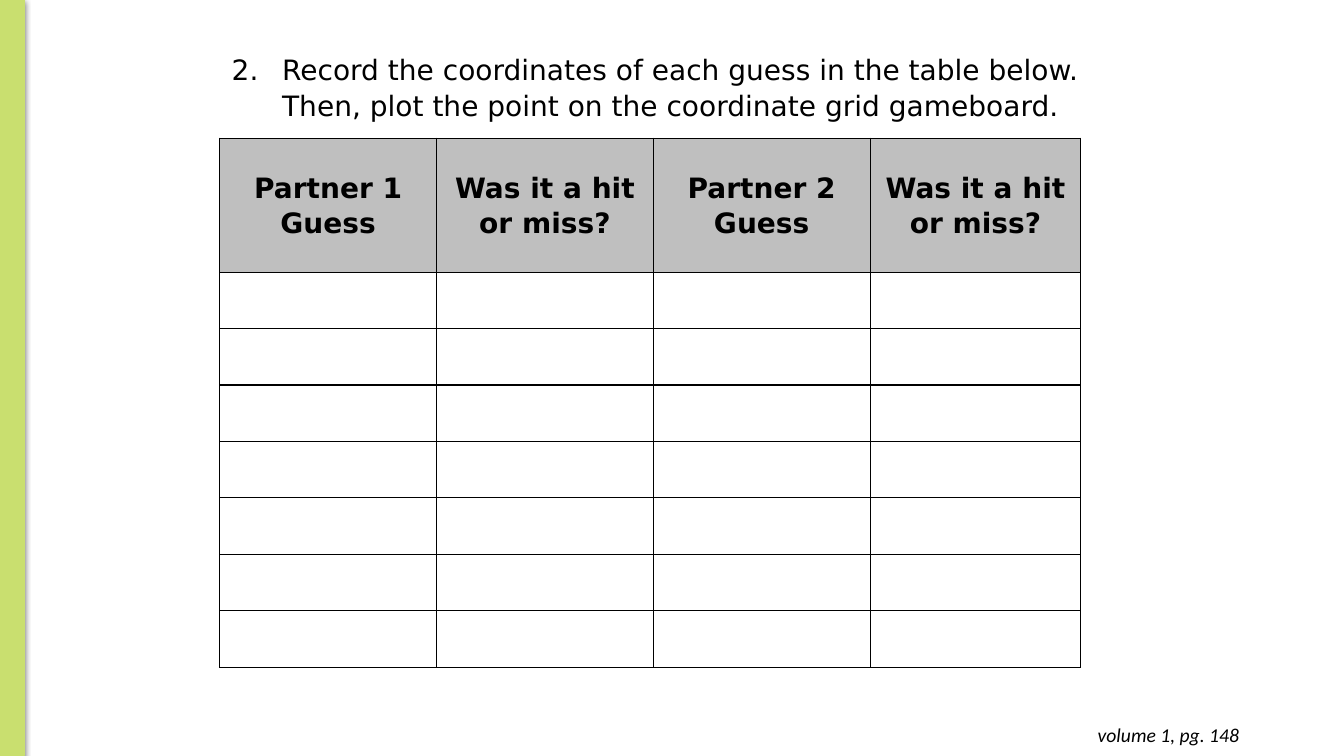
from lxml.etree import SubElement
from pptx import Presentation
from pptx.dml.color import RGBColor
from pptx.enum.shapes import MSO_SHAPE as Shape
from pptx.enum.text import MSO_ANCHOR as Anchor, PP_ALIGN as Align
from pptx.oxml import parse_xml
from pptx.oxml.ns import nsdecls, qn
from pptx.util import Inches, Pt

BLACK = RGBColor(0x00, 0x00, 0x00)
LIME = RGBColor(0xC9, 0xDF, 0x6F)
GRAY = RGBColor(0xBF, 0xBF, 0xBF)
BODY_FONT, NOTE_FONT = "DejaVu Sans", "Calibri"
WIDTH, HEIGHT = 13.33, 7.5

HEADERS = ["Partner 1 Guess", "Was it a hit or miss?"] + [
    "Partner 2 Guess", "Was it a hit or miss?"]
COLUMNS = [2.15] * 3 + [2.09]
ROWS = [1.33] + [0.56] * 7


def add_span(para, text, font, size, bold=False, italic=False):
    span = para.add_run()
    span.text = text
    span.font.name, span.font.size = font, Pt(size)
    span.font.bold, span.font.italic = bold, italic
    span.font.color.rgb = BLACK


def add_text_box(page, box):
    frame = page.shapes.add_textbox(*map(Inches, box)).text_frame
    frame.word_wrap = True
    return frame


# Coloured band along the left edge, with a soft shadow
def add_side_band(page, box):
    band = page.shapes.add_shape(Shape.RECTANGLE, *map(Inches, box))
    band.shadow.inherit = False
    band.fill.solid()
    band.fill.fore_color.rgb = LIME
    band.line.color.rgb = LIME
    band.line.width = Pt(0.75)
    effects = band._element.spPr.find(qn("a:effectLst"))
    effects.append(parse_xml(
        f'<a:outerShdw {nsdecls("a")} blurRad="{Pt(4.5)}" dist="{Pt(1.5)}" '
        'dir="5400000" algn="ctr" rotWithShape="0"><a:srgbClr val="000000">'
        '<a:alpha val="50000"/></a:srgbClr></a:outerShdw>'))


# Numbered instruction
def add_instruction(page, box, text, number):
    para = add_text_box(page, box).paragraphs[0]
    para.line_spacing = 1.07
    props = para._p.get_or_add_pPr()
    props.set("marL", str(Inches(0.5)))
    props.set("indent", str(-Inches(0.5)))
    color = SubElement(props, qn("a:buClr"))
    SubElement(color, qn("a:srgbClr"), val=str(BLACK))
    SubElement(props, qn("a:buFont"), typeface=BODY_FONT)
    SubElement(props, qn("a:buAutoNum"), type="arabicPeriod", startAt=str(number))
    add_span(para, text, BODY_FONT, 20)


def add_borders(cell):
    props = cell._tc.get_or_add_tcPr()
    for place, side in enumerate(("lnL", "lnR", "lnT", "lnB")):
        props.insert(place, parse_xml(
            f'<a:{side} {nsdecls("a")} w="{Pt(1)}"><a:solidFill>'
            f'<a:srgbClr val="{BLACK}"/></a:solidFill></a:{side}>'))


def fill_header(cell, text):
    cell.fill.solid()
    cell.fill.fore_color.rgb = GRAY
    cell.vertical_anchor = Anchor.MIDDLE
    cell.margin_left = cell.margin_right = Inches(0.05)
    cell.margin_top = cell.margin_bottom = 0
    para = cell.text_frame.paragraphs[0]
    para.alignment = Align.CENTER
    para.line_spacing = 1.07
    add_span(para, text, BODY_FONT, 20, bold=True)


# Table for recording guesses
def add_guess_table(page, left, top):
    size = map(Inches, (left, top, sum(COLUMNS), sum(ROWS)))
    table = page.shapes.add_table(len(ROWS), len(COLUMNS), *size).table
    table.first_row = table.horz_banding = False
    for column, width in zip(table.columns, COLUMNS):
        column.width = Inches(width)
    for row, height in zip(table.rows, ROWS):
        row.height = Inches(height)
    for cell in table.iter_cells():
        cell.fill.background()
    for cell, text in zip(table.rows[0].cells, HEADERS):
        fill_header(cell, text)
    for cell in table.iter_cells():
        add_borders(cell)


# Page reference at the bottom right
def add_reference(page, box, text):
    frame = add_text_box(page, box)
    frame.margin_top = frame.margin_bottom = Inches(0.1)
    para = frame.paragraphs[0]
    para.alignment = Align.RIGHT
    add_span(para, text, NOTE_FONT, 14, italic=True)


def main():
    deck = Presentation()
    deck.slide_width, deck.slide_height = Inches(WIDTH), Inches(HEIGHT)
    page = deck.slides.add_slide(deck.slide_layouts[6])
    add_side_band(page, (0, 0, 0.24, HEIGHT))
    add_instruction(
        page, (2.2, 0.45, 9.11, 1.18),
        "Record the coordinates of each guess in the table below. "
        "Then, plot the point on the coordinate grid gameboard.", 2)
    add_guess_table(page, 2.18, 1.37)
    add_reference(page, (9.51, 7.07, 2.88, 0.44), "volume 1, pg. 148")
    deck.save("out.pptx")


if __name__ == "__main__":
    main()
